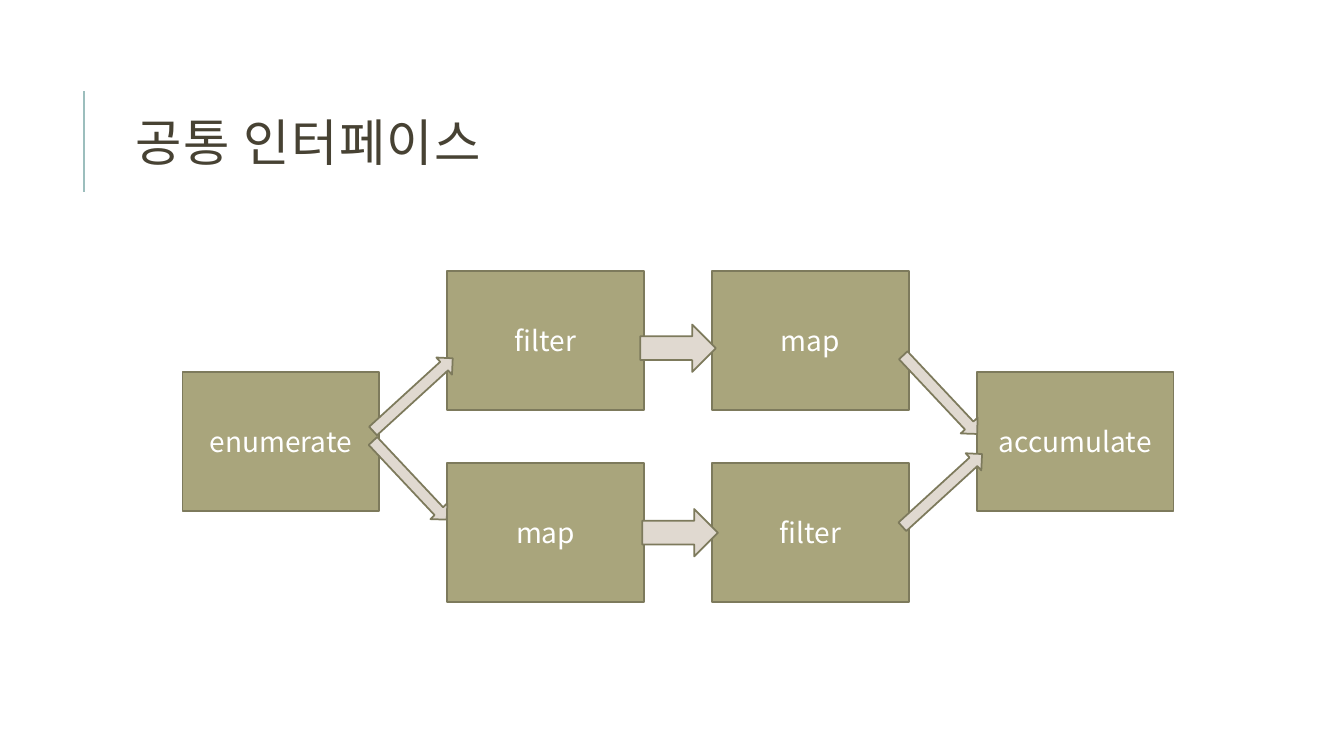
from lxml import etree
from pptx import Presentation
from pptx import util as u
from pptx.dml.color import RGBColor
from pptx.enum import shapes, text
from pptx.oxml.ns import qn

FONT = "Noto Sans CJK KR"
BOX_W, BOX_H = 1.95, 1.38
NODES = [("enumerate", 0, 1), ("filter", 1, 0), ("map", 2, 0),
         ("map", 1, 1.9), ("filter", 2, 1.9), ("accumulate", 3, 1)]
THIN, THICK = (1.07, 0.23), (0.75, 0.47)
UP, DOWN = 317.6, 46.8
ARROWS = [(1.75, 1.11, THIN, UP), (1.72, 1.96, THIN, DOWN),
          (4.54, 0.53, THICK, 0), (4.56, 2.36, THICK, 0),
          (7, 2.06, THIN, UP), (6.98, 1.11, THIN, DOWN)]


def rgb(value):
    """Turn a hex string into a colour."""
    return RGBColor.from_string(value)


def add_run(p, words, size, color):
    """Add one run in the slide's font for Latin and Korean text."""
    r = p.add_run()
    r.text = words
    r.font.size = u.Pt(size)
    r.font.name = FONT
    r.font.color.rgb = rgb(color)
    etree.SubElement(r.font._element, qn("a:ea")).set("typeface", FONT)
    return r


def add_block(slide, kind, left, top, width, height, fill):
    """Add a filled, outlined shape without a shadow."""
    s = slide.shapes.add_shape(kind, *map(u.Inches, (left, top, width, height)))
    s.shadow.inherit = False
    s.fill.solid()
    s.fill.fore_color.rgb = rgb(fill)
    s.line.color.rgb = rgb("7D7A5C")
    s.line.width = u.Pt(1.25)
    return s


def add_heading(slide, left, top, width, height):
    """Place the title and the vertical rule to its left."""
    x = u.Inches(left - 0.29)
    rule = slide.shapes.add_connector(
        shapes.MSO_CONNECTOR.STRAIGHT,
        x, u.Inches(top + 1.26), x, u.Inches(top + 0.26))
    rule.line.color.rgb = rgb("9CBEBD")
    rule.line.width = u.Pt(1.5)
    etree.SubElement(rule._element.spPr, qn("a:effectLst"))

    title = slide.shapes.title
    title.left, title.top = u.Inches(left), u.Inches(top)
    title.width, title.height = u.Inches(width), u.Inches(height)
    tf = title.text_frame
    tf.word_wrap = True
    tf.auto_size = text.MSO_AUTO_SIZE.NONE
    tf.vertical_anchor = text.MSO_ANCHOR.MIDDLE
    p = tf.paragraphs[0]
    p.alignment = text.PP_ALIGN.LEFT
    p.line_spacing = 0.8
    r = add_run(p, " 공통 인터페이스", 36, "474233")
    r.font._element.set("spc", "100")


def add_flow(slide, left, top, width):
    """Place the four columns of steps and the arrows between them."""
    pitch = (width - BOX_W) / 3
    for name, column, drop in NODES:
        s = add_block(slide, shapes.MSO_SHAPE.RECTANGLE,
                      left + column * pitch, top + drop, BOX_W, BOX_H, "A9A57C")
        tf = s.text_frame
        tf.word_wrap = True
        tf.vertical_anchor = text.MSO_ANCHOR.MIDDLE
        p = tf.paragraphs[0]
        p.alignment = text.PP_ALIGN.CENTER
        add_run(p, name, 20, "FFFFFF")
    for dx, dy, size, angle in ARROWS:
        arrow = add_block(slide, shapes.MSO_SHAPE.RIGHT_ARROW,
                          left + dx, top + dy, *size, "E0D9D0")
        arrow.rotation = angle


def main():
    """Build the slide and save it."""
    prs = Presentation()
    prs.slide_width, prs.slide_height = u.Inches(13.33), u.Inches(7.5)
    slide = prs.slides.add_slide(prs.slide_layouts[5])
    add_heading(slide, 1.12, 0.64, 10.63, 1.64)
    add_flow(slide, 1.81, 2.69, 9.83)
    prs.save("out.pptx")


if __name__ == "__main__":
    main()
